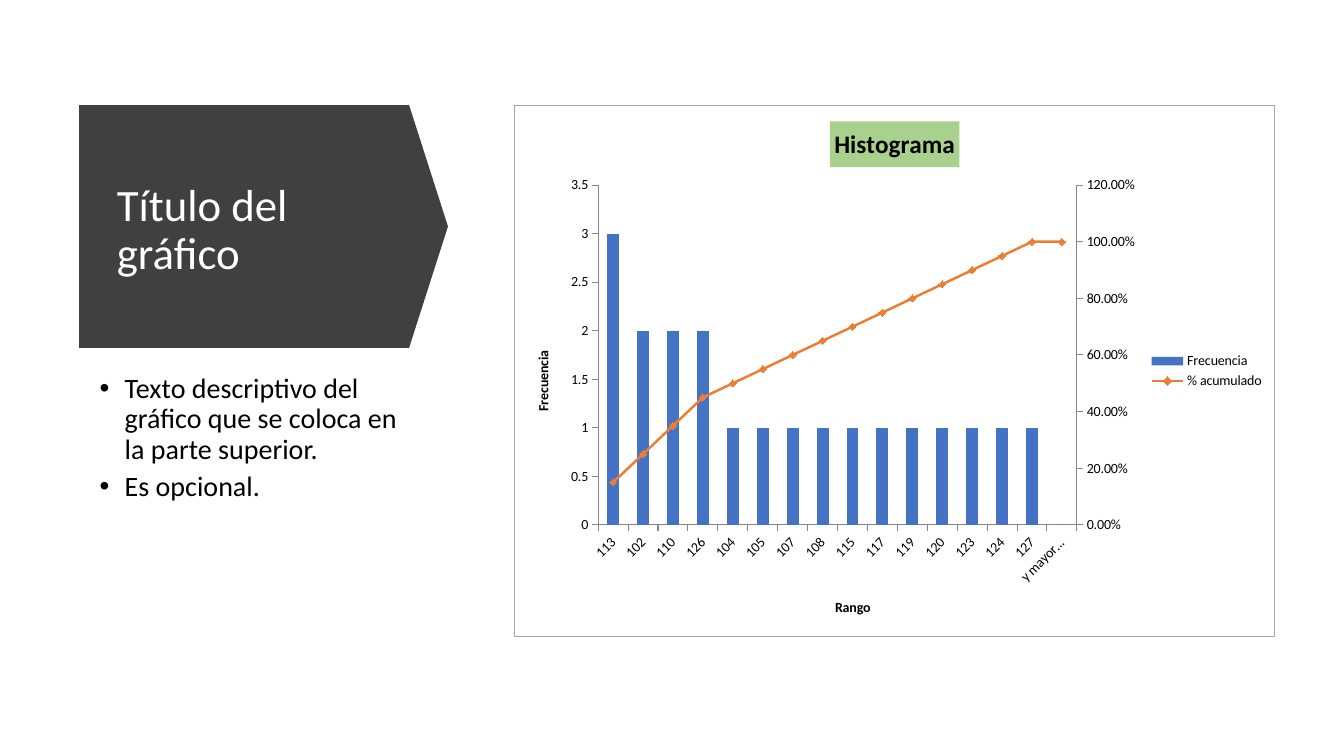
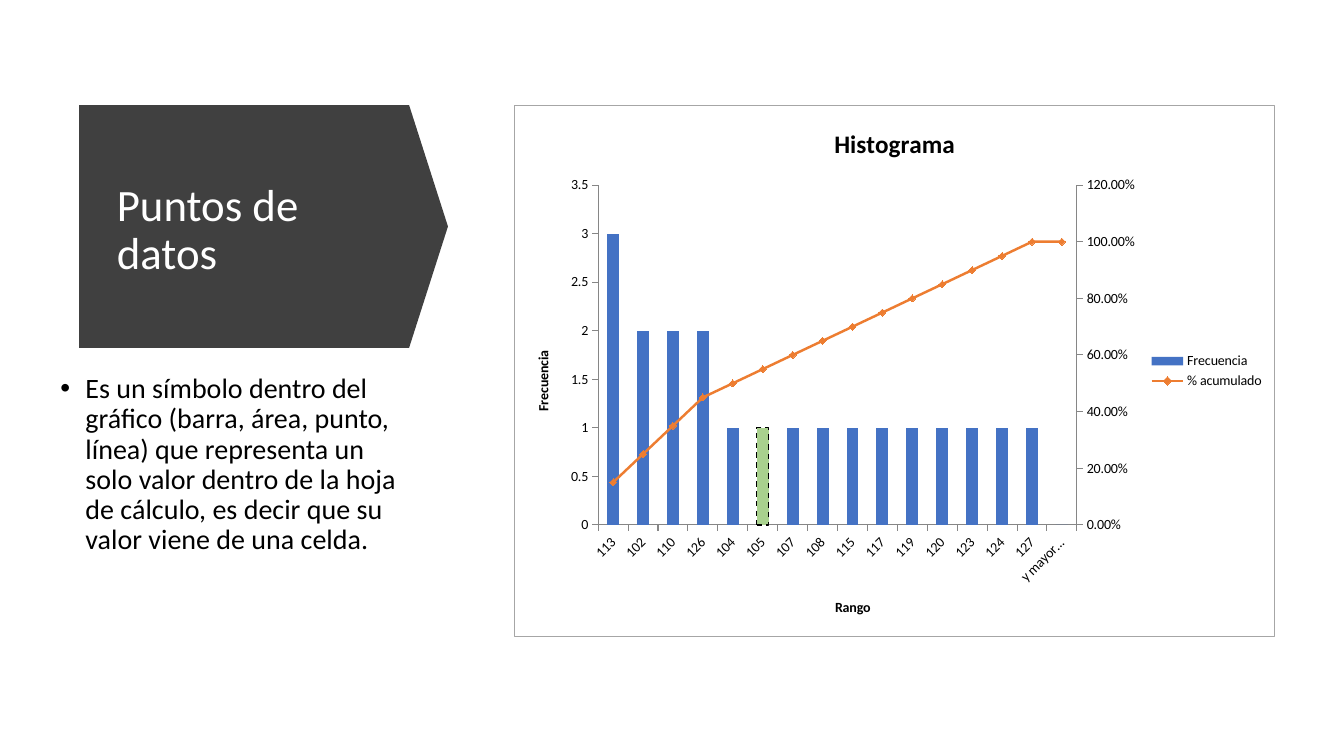
import copy
import lxml.etree
import pptx
import pptx.chart.axis
import pptx.chart.data
import pptx.dml.color
import pptx.enum.chart
import pptx.enum.dml
import pptx.enum.shapes
import pptx.enum.text
import pptx.oxml
import pptx.oxml.ns
import pptx.util

Pt = pptx.util.Pt
qn = pptx.oxml.ns.qn
XL = pptx.enum.chart

# Content
SLIDES = [
    {"title": "Título del gráfico",
     "body": ["Texto descriptivo del gráfico que se coloca en la parte superior.",
              "Es opcional."],
     "box": (64, 264, 228, 201), "mark": "title"},
    {"title": "Puntos de datos",
     "body": ["Es un símbolo dentro del gráfico (barra, área, punto, línea) que "
              "representa un solo valor dentro de la hoja de cálculo, es decir "
              "que su valor viene de una celda."],
     "box": (36, 264, 269, 201), "mark": "point"},
]
CATS = ["113", "102", "110", "126", "104", "105", "107", "108", "115", "117",
        "119", "120", "123", "124", "127", "y mayor..."]
FREQ = [3, 2, 2, 2] + [1] * 11 + [0]
CUMUL = [0.15, 0.25, 0.35, 0.45, 0.5, 0.55, 0.6, 0.65, 0.7, 0.75, 0.8, 0.85,
         0.9, 0.95, 1, 1]
POINT = 5

# Shared style
FONT = "Calibri"
DARK, WHITE, BLACK = "404040", "FFFFFF", "000000"
BLUE, ORANGE, GREEN = "4472C4", "ED7D31", "A9D18E"
EDGE, AXIS = "A6A6A6", "868686"
BANNER = (56.5, 75, 263.5, 173.5)
CHART = (367.2, 75, 543.6, 380)
PLOT = {"x": 0.11, "y": 0.15, "w": 0.63, "h": 0.64}


def rgb(code):
    return pptx.dml.color.RGBColor.from_string(code)


def paint(fill, code):
    fill.solid()
    fill.fore_color.rgb = rgb(code)


def stroke(line, code, width):
    paint(line.fill, code)
    line.width = Pt(width)


def style(font, size, code, bold=False):
    font.name, font.size, font.bold = FONT, Pt(size), bold
    font.color.rgb = rgb(code)


def add(parent, tag, **attrs):
    node = lxml.etree.SubElement(parent, qn(tag))
    for key, value in attrs.items():
        node.set(key, str(value))
    return node


def banner(slide, text):
    shape = slide.shapes.add_shape(
        pptx.enum.shapes.MSO_SHAPE.PENTAGON, *map(Pt, BANNER))
    shape.adjustments[0] = 0.16
    shape.shadow.inherit = False
    paint(shape.fill, DARK)
    shape.line.fill.background()
    frame = shape.text_frame
    frame.word_wrap = True
    frame.vertical_anchor = pptx.enum.text.MSO_ANCHOR.MIDDLE
    frame.margin_left = frame.margin_right = Pt(27)
    frame.margin_top = Pt(9.6)
    frame.text = text
    para = frame.paragraphs[0]
    para.alignment = pptx.enum.text.PP_ALIGN.LEFT
    para.line_spacing = 0.9
    style(para.runs[0].font, 32, WHITE)


def bullets(slide, lines, box):
    frame = slide.shapes.add_textbox(*map(Pt, box)).text_frame
    frame.word_wrap = True
    frame.text = "\n".join(lines)
    for para in frame.paragraphs:
        para.line_spacing, para.space_before = 0.9, Pt(5)
        style(para.runs[0].font, 20, BLACK)
        props = para._p.get_or_add_pPr()
        props.set("marL", str(Pt(18)))
        props.set("indent", str(-Pt(18)))
        add(props, "a:buFont", typeface="Arial")
        add(props, "a:buChar", char="•")


def label(owner, text, size):
    frame = owner.text_frame
    frame.text = text
    style(frame.paragraphs[0].runs[0].font, size, BLACK, True)


def scale(axis, top, unit, form):
    axis.minimum_scale, axis.maximum_scale, axis.major_unit = 0, top, unit
    axis.tick_labels.number_format = form
    axis.tick_labels.number_format_is_linked = False


def split(chart):
    """Move the second series to a line plot on a right-hand axis."""
    bars = chart.plots[0]._element
    area = bars.getparent()
    line = pptx.oxml.parse_xml(
        '<c:lineChart xmlns:c="%s"><c:grouping val="standard"/>'
        '<c:varyColors val="0"/></c:lineChart>' % pptx.oxml.ns.nsuri("c"))
    bars.addnext(line)
    ser = bars.findall(qn("c:ser"))[1]
    for node in ser.findall(qn("c:invertIfNegative")):
        ser.remove(node)
    line.append(ser)
    add(line, "c:marker", val=1)
    cat, val = area.find(qn("c:catAx")), area.find(qn("c:valAx"))
    cat2, val2 = copy.deepcopy(cat), copy.deepcopy(val)
    val.addnext(val2)
    val2.addnext(cat2)
    for axis, own, other in ((cat2, 501, 502), (val2, 502, 501)):
        axis.find(qn("c:axId")).set("val", str(own))
        axis.find(qn("c:crossAx")).set("val", str(other))
        add(line, "c:axId", val=own)
    cat2.find(qn("c:delete")).set("val", "1")
    val2.find(qn("c:axPos")).set("val", "r")
    val2.find(qn("c:crosses")).set("val", "max")
    return pptx.chart.axis.ValueAxis(val2)


def frame_plot(chart):
    """Fix the plot area and draw the chart's border."""
    area = chart.plots[0]._element.getparent()
    for node in area.findall(qn("c:layout")):
        area.remove(node)
    layout = pptx.oxml.parse_xml(
        '<c:layout xmlns:c="%s"/>' % pptx.oxml.ns.nsuri("c"))
    area.insert(0, layout)
    manual = add(layout, "c:manualLayout")
    add(manual, "c:layoutTarget", val="inner")
    for key in "xy":
        add(manual, "c:%sMode" % key, val="edge")
    for key, value in PLOT.items():
        add(manual, "c:" + key, val=value)
    border = pptx.oxml.parse_xml(
        '<c:spPr %s><a:solidFill><a:srgbClr val="%s"/></a:solidFill>'
        '<a:ln w="%d"><a:solidFill><a:srgbClr val="%s"/></a:solidFill></a:ln>'
        '</c:spPr>' % (pptx.oxml.ns.nsdecls("c", "a"), WHITE, Pt(0.75), EDGE))
    chart.element.find(qn("c:txPr")).addprevious(border)


def pareto(slide, mark):
    data = pptx.chart.data.CategoryChartData()
    data.categories = CATS
    data.add_series("Frecuencia", FREQ)
    data.add_series("% acumulado", CUMUL)
    chart = slide.shapes.add_chart(
        XL.XL_CHART_TYPE.COLUMN_CLUSTERED, *map(Pt, CHART), data).chart
    style(chart.font, 10, BLACK)

    # Axes
    cat, left = chart.category_axis, chart.value_axis
    left.has_major_gridlines = False
    for axis in (cat, left):
        axis.major_tick_mark = XL.XL_TICK_MARK.OUTSIDE
        axis.minor_tick_mark = XL.XL_TICK_MARK.NONE
        stroke(axis.format.line, AXIS, 0.75)
    right = split(chart)
    scale(left, 3.5, 0.5, "General")
    scale(right, 1.2, 0.2, "0.00%")
    style(cat.tick_labels.font, 10, BLACK)
    turn = cat._element.find(qn("c:txPr")).find(qn("a:bodyPr"))
    turn.set("rot", "-2700000")
    turn.set("vert", "horz")
    label(cat.axis_title, "Rango", 10)
    label(left.axis_title, "Frecuencia", 10)

    # Series
    bars, line = chart.plots
    bars.gap_width = 150
    bars.vary_by_categories = False
    freq, cumul = bars.series[0], line.series[0]
    paint(freq.format.fill, BLUE)
    cumul.smooth = False
    stroke(cumul.format.line, ORANGE, 1.75)
    cumul.marker.style = XL.XL_MARKER_STYLE.DIAMOND
    cumul.marker.size = 5
    paint(cumul.marker.format.fill, ORANGE)
    stroke(cumul.marker.format.line, ORANGE, 0.75)

    # Title, legend and border
    chart.has_title = True
    label(chart.chart_title, "Histograma", 18)
    chart.chart_title.include_in_layout = False
    chart.has_legend = True
    chart.legend.position = XL.XL_LEGEND_POSITION.RIGHT
    chart.legend.include_in_layout = False
    frame_plot(chart)

    # Highlighted part
    if mark == "title":
        paint(chart.chart_title.format.fill, GREEN)
    else:
        point = freq.points[POINT].format
        paint(point.fill, GREEN)
        stroke(point.line, BLACK, 1)
        point.line.dash_style = pptx.enum.dml.MSO_LINE.DASH


def main():
    deck = pptx.Presentation()
    deck.slide_width, deck.slide_height = Pt(960), Pt(540)
    for item in SLIDES:
        slide = deck.slides.add_slide(deck.slide_layouts[6])
        banner(slide, item["title"])
        bullets(slide, item["body"], item["box"])
        pareto(slide, item["mark"])
    deck.save("out.pptx")


if __name__ == "__main__":
    main()
